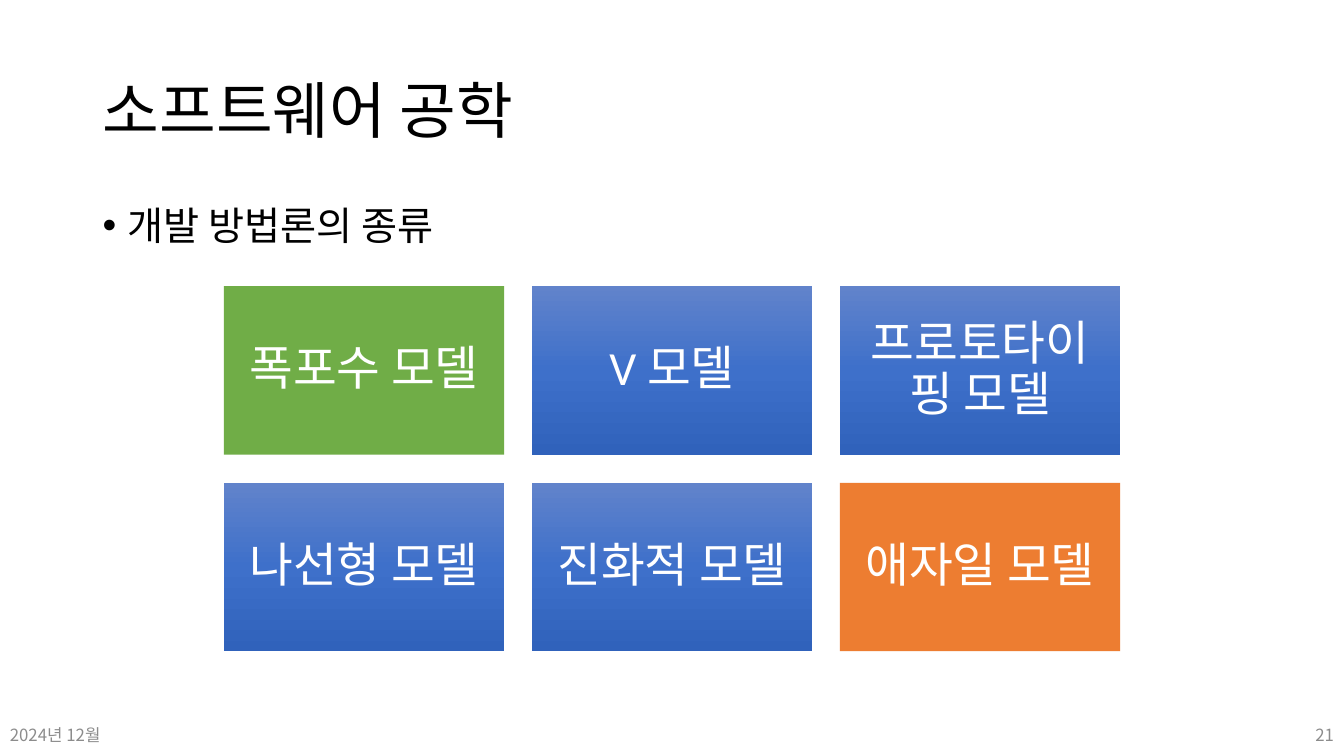
"""Build the software engineering slide listing six development models."""
from copy import deepcopy

from lxml import etree
from pptx import Presentation
from pptx.dml.color import RGBColor
from pptx.enum.shapes import MSO_SHAPE
from pptx.enum.text import MSO_ANCHOR, PP_ALIGN
from pptx.oxml.ns import qn
from pptx.util import Inches, Pt

RECTANGLE = MSO_SHAPE.RECTANGLE
TOP, MIDDLE = MSO_ANCHOR.TOP, MSO_ANCHOR.MIDDLE
LEFT, CENTER, RIGHT = PP_ALIGN.LEFT, PP_ALIGN.CENTER, PP_ALIGN.RIGHT
KOREAN_FONT = "Noto Sans CJK KR"
COLORS = {
    "black": "000000",
    "white": "FFFFFF",
    "gray": "8C8C8C",
    "green": "70AD47",
    "orange": "ED7D31",
    "blue_light": "6183CB",
    "blue_mid": "3E70CA",
    "blue_dark": "3062BB",
}


def rgb(name):
    """Return the named colour."""
    return RGBColor.from_string(COLORS[name])


def write(shape, text, size, font, color, align, anchor, spacing):
    """Write one paragraph into a shape and return it."""
    frame = shape.text_frame
    frame.word_wrap = True
    frame.vertical_anchor = anchor
    para = frame.paragraphs[0]
    para.alignment = align
    para.line_spacing = spacing
    span = para.add_run()
    span.text = text
    span.font.size = Pt(size)
    span.font.name = font
    span.font.color.rgb = rgb(color)
    east_asian = etree.SubElement(span.font._element, qn("a:ea"))
    east_asian.set("typeface", KOREAN_FONT)
    return para


deck = Presentation()
deck.slide_width = Inches(13.33)
deck.slide_height = Inches(7.5)
page = deck.slides.add_slide(deck.slide_layouts[6])

texts = [
    (0.92, 0.4, 11.5, 1.45, "소프트웨어 공학", 44, "Lato", "black", LEFT, MIDDLE, 0.9),
    (0, 7.09, 3, 0.4, "2024년 12월", 12, KOREAN_FONT, "gray", LEFT, MIDDLE, 1.0),
    (10.33, 7.09, 3, 0.4, "21", 12, KOREAN_FONT, "gray", RIGHT, MIDDLE, 1.0),
    (0.92, 2, 11.5, 4.76, "개발 방법론의 종류", 28, "Calibri", "black", LEFT, TOP, 0.9),
]
for left, top, width, height, *style in texts:
    box = page.shapes.add_textbox(Inches(left), Inches(top), Inches(width), Inches(height))
    para = write(box, *style)

bullet_props = para._p.get_or_add_pPr()
bullet_props.set("marL", str(Inches(0.25)))
bullet_props.set("indent", str(Inches(-0.25)))
etree.SubElement(bullet_props, qn("a:buFont")).set("typeface", "Arial")
etree.SubElement(bullet_props, qn("a:buChar")).set("char", "•")

models = ["폭포수 모델", "V 모델", "프로토타이핑 모델", "나선형 모델", "진화적 모델", "애자일 모델"]
highlights = {"폭포수 모델": "green", "애자일 모델": "orange"}
gradient = [(0, "blue_light"), (0.5, "blue_mid"), (1, "blue_dark")]
for index, model in enumerate(models):
    row, column = divmod(index, 3)
    card = page.shapes.add_shape(
        RECTANGLE,
        Inches(2.22 + 3.055 * column), Inches(2.84 + 1.95 * row),
        Inches(2.78), Inches(1.67),
    )
    card.shadow.inherit = False
    card.line.fill.background()
    if model in highlights:
        card.fill.solid()
        card.fill.fore_color.rgb = rgb(highlights[model])
    else:
        card.fill.gradient()
        card.fill.gradient_angle = 270
        stop_list = card._element.spPr.find(qn("a:gradFill")).find(qn("a:gsLst"))
        stop_list.append(deepcopy(stop_list[0]))
        for stop, (position, color) in zip(card.fill.gradient_stops, gradient):
            stop.position = position
            stop.color.rgb = rgb(color)
    frame = card.text_frame
    frame.margin_left = frame.margin_right = Inches(0.14)
    frame.margin_top = frame.margin_bottom = Inches(0.14)
    write(card, model, 34, "Calibri", "white", CENTER, MIDDLE, 0.9)

deck.save("out.pptx")
